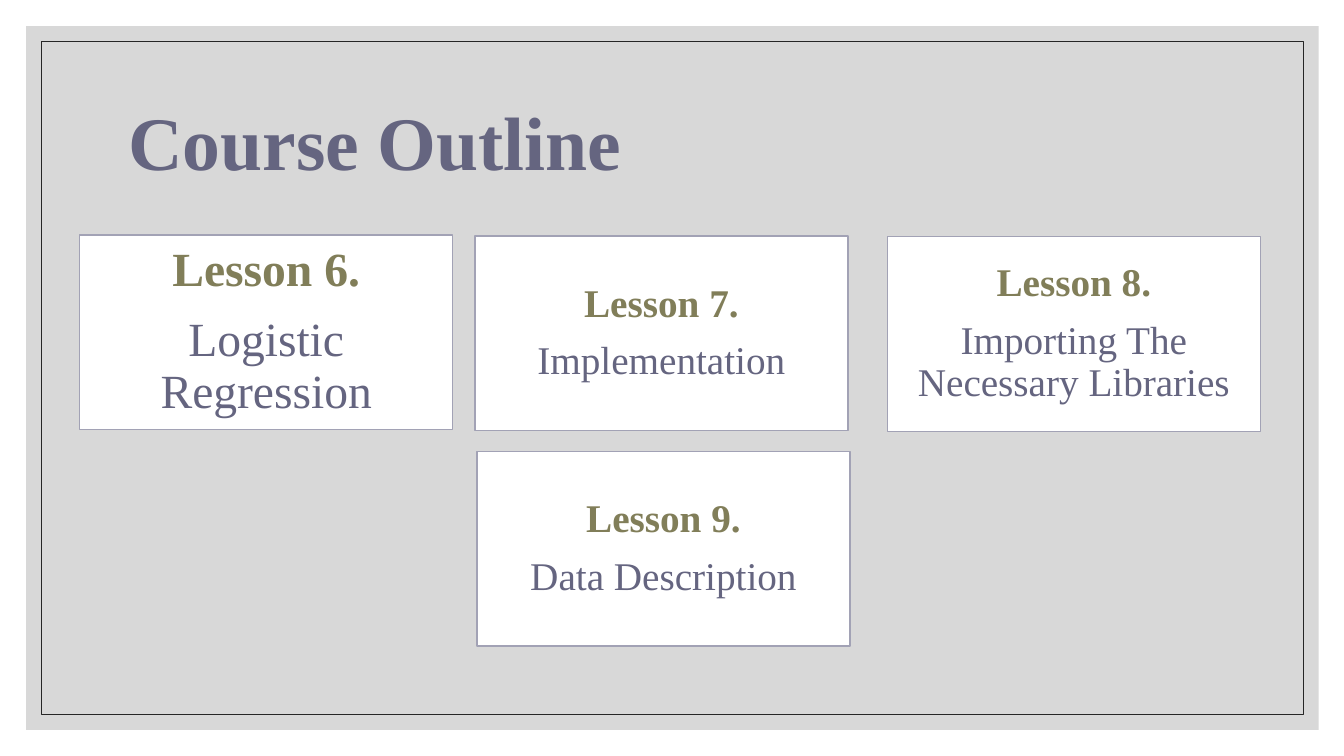
from dataclasses import dataclass

from lxml.etree import SubElement
from pptx import Presentation
from pptx.dml.color import RGBColor
from pptx.enum.shapes import MSO_SHAPE
from pptx.enum.text import MSO_ANCHOR, MSO_AUTO_SIZE, PP_ALIGN
from pptx.oxml.ns import qn
from pptx.shapes.autoshape import Shape
from pptx.slide import Slide
from pptx.text.text import _Paragraph as Paragraph
from pptx.util import Inches, Length, Pt

SLIDE_WIDTH, SLIDE_HEIGHT = Inches(13.33), Inches(7.5)


@dataclass(frozen=True)
class Theme:
    font: str = "Times New Roman"
    slate: str = "656580"
    olive: str = "817E59"
    card_fill: str = "FFFFFF"
    card_line: str = "A2A2B5"
    backdrop: str = "BFBFBF"
    backdrop_opacity: int = 60
    border: str = "262626"
    title_size: int = 54
    card_size: int = 28
    large_card_size: int = 34
    line_spacing: float = 0.9
    heading_gap: float = 0.39


THEME = Theme()


@dataclass(frozen=True)
class Area:
    """A rectangle in percent of the slide's width and height."""
    left: float
    top: float
    width: float
    height: float

    def lengths(self) -> tuple[Length, Length, Length, Length]:
        return (
            Length(round(SLIDE_WIDTH * self.left / 100)),
            Length(round(SLIDE_HEIGHT * self.top / 100)),
            Length(round(SLIDE_WIDTH * self.width / 100)),
            Length(round(SLIDE_HEIGHT * self.height / 100)),
        )


@dataclass(frozen=True)
class Lesson:
    number: int
    topic: str
    left: float
    top: float
    size: int = THEME.card_size
    margin: float = 0.12


BACKDROP = Area(1.95, 3.47, 96.17, 93.07)
BORDER = Area(3.08, 5.47, 93.92, 89.07)
TITLE = Area(8.78, 9.33, 82.52, 20)
CARD_WIDTH, CARD_HEIGHT = 27.76, 25.73

LESSONS = [
    Lesson(6, "Logistic Regression", 5.93, 31.07, THEME.large_card_size, 0.14),
    Lesson(7, "Implementation", 35.33, 31.2),
    Lesson(8, "Importing The Necessary Libraries", 66.02, 31.33),
    Lesson(9, "Data Description", 35.48, 59.73),
]


def add_rectangle(page: Slide, area: Area, fill: str | None = None,
                  line: str | None = None, line_width: float = 1) -> Shape:
    box = page.shapes.add_shape(MSO_SHAPE.RECTANGLE, *area.lengths())
    box.shadow.inherit = False
    if fill:
        box.fill.solid()
        box.fill.fore_color.rgb = RGBColor.from_string(fill)
    else:
        box.fill.background()
    if line:
        box.line.color.rgb = RGBColor.from_string(line)
        box.line.width = Pt(line_width)
    else:
        box.line.fill.background()
    return box


def set_opacity(box: Shape, percent: int) -> None:
    color = box.fill._xPr.find(qn("a:solidFill"))[0]
    SubElement(color, qn("a:alpha"), val=str(percent * 1000))


def format_paragraph(para: Paragraph, size: int, color: str, bold: bool,
                     alignment: PP_ALIGN) -> None:
    para.alignment = alignment
    para.line_spacing = THEME.line_spacing
    para.space_before = Pt(0)
    para.font.name = THEME.font
    para.font.size = Pt(size)
    para.font.bold = bold
    para.font.color.rgb = RGBColor.from_string(color)


def add_backdrop(page: Slide) -> None:
    backdrop = add_rectangle(page, BACKDROP, fill=THEME.backdrop)
    set_opacity(backdrop, THEME.backdrop_opacity)
    add_rectangle(page, BORDER, line=THEME.border, line_width=0.5)


def add_title(page: Slide) -> None:
    """Fill the title placeholder and raise it above the backdrop."""
    title = page.shapes.title
    title.left, title.top, title.width, title.height = TITLE.lengths()
    frame = title.text_frame
    frame.text = "Course Outline"
    frame.auto_size = MSO_AUTO_SIZE.NONE
    frame.vertical_anchor = MSO_ANCHOR.MIDDLE
    format_paragraph(frame.paragraphs[0], THEME.title_size, THEME.slate,
                     True, PP_ALIGN.LEFT)
    page.shapes._spTree.append(title._element)


def add_card(page: Slide, lesson: Lesson) -> None:
    area = Area(lesson.left, lesson.top, CARD_WIDTH, CARD_HEIGHT)
    card = add_rectangle(page, area, THEME.card_fill, THEME.card_line)
    frame = card.text_frame
    frame.word_wrap = True
    frame.vertical_anchor = MSO_ANCHOR.MIDDLE
    frame.margin_left = frame.margin_right = Inches(0.08)
    frame.margin_top = frame.margin_bottom = Inches(lesson.margin)

    heading = frame.paragraphs[0]
    heading.text = f"Lesson {lesson.number}."
    format_paragraph(heading, lesson.size, THEME.olive, True, PP_ALIGN.CENTER)
    heading.space_after = Pt(lesson.size * THEME.heading_gap)

    topic = frame.add_paragraph()
    topic.text = lesson.topic
    format_paragraph(topic, lesson.size, THEME.slate, False, PP_ALIGN.CENTER)


def main() -> None:
    deck = Presentation()
    deck.slide_width, deck.slide_height = SLIDE_WIDTH, SLIDE_HEIGHT
    title_only = deck.slide_layouts[5]
    page = deck.slides.add_slide(title_only)
    add_backdrop(page)
    add_title(page)
    for lesson in LESSONS:
        add_card(page, lesson)
    deck.save("out.pptx")


if __name__ == "__main__":
    main()
